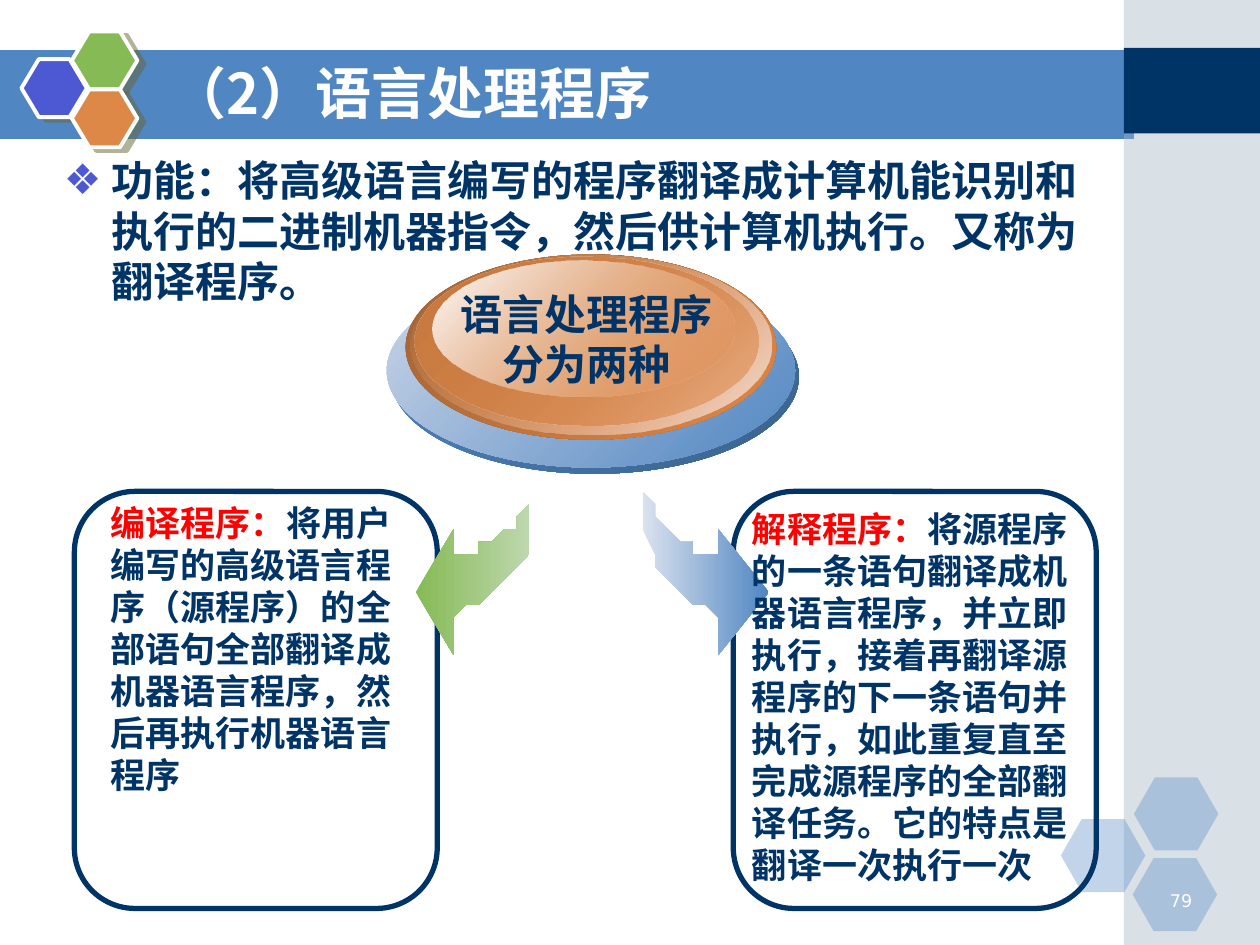
from dataclasses import dataclass
from typing import Optional

from lxml import etree
from pptx import Presentation
from pptx import util as u
from pptx.dml.color import RGBColor
from pptx.enum import shapes, text
from pptx.oxml.ns import qn

COLUMNS = 100
CELL = u.Inches(10) // COLUMNS  # the grid has 100 columns and 75 square rows
CJK, LATIN = "Noto Sans CJK SC", "DejaVu Sans"
NAVY, BLUE, GREEN, ORANGE, VIOLET = "003366", "5086C2", "85BA54", "DE8848", "4C59D2"
WHITE, RED = "FFFFFF", "FF0000"
KIND = shapes.MSO_SHAPE
ALIGN = text.PP_ALIGN


@dataclass(frozen=True)
class Area:
    """A rectangle in grid columns and rows."""
    left: float
    top: float
    width: float
    height: float

    def emu(self) -> list[int]:
        return [round(n * CELL) for n in (self.left, self.top, self.width, self.height)]


@dataclass(frozen=True)
class Tint:
    color: str
    opacity: int = 100


@dataclass(frozen=True)
class Figure:
    kind: int
    area: Area
    tints: tuple[Tint, ...] = ()
    angle: int = 45
    line: Optional[tuple[str, float]] = None
    adjust: Optional[float] = None
    shadow: bool = False


@dataclass(frozen=True)
class Words:
    text: str
    color: str = NAVY
    size: float = 20
    font: str = CJK
    bold: bool = True


def rgb(color: str) -> RGBColor:
    return RGBColor.from_string(color)


def paint(shape, tints: tuple[Tint, ...], angle: int = 45) -> None:
    """Fill with nothing, one colour, or a clockwise gradient of two."""
    fill = shape.fill
    if not tints:
        fill.background()
        return
    if len(tints) == 1:
        fill.solid()
        fill.fore_color.rgb = rgb(tints[0].color)
    else:
        fill.gradient()
        fill.gradient_angle = -angle % 360
        for stop, tint in zip(fill.gradient_stops, tints):
            stop.color.rgb = rgb(tint.color)
    for node, tint in zip(list(shape.element.spPr.iter(qn("a:srgbClr"))), tints):
        if tint.opacity < 100:
            etree.SubElement(node, qn("a:alpha"), val=str(tint.opacity * 1000))


def cast_shadow(shape) -> None:
    effects = shape.element.spPr.find(qn("a:effectLst"))
    outer = etree.SubElement(effects, qn("a:outerShdw"), dist=str(u.Pt(4.5)),
                             dir=str(27 * 60000), algn="ctr", rotWithShape="0")
    color = etree.SubElement(outer, qn("a:srgbClr"), val="666633")
    etree.SubElement(color, qn("a:alpha"), val="50000")


def draw(page, figure: Figure) -> None:
    shape = page.shapes.add_shape(figure.kind, *figure.area.emu())
    shape.shadow.inherit = False
    if figure.adjust is not None:
        shape.adjustments[0] = figure.adjust
    paint(shape, figure.tints, figure.angle)
    if figure.line:
        shape.line.color.rgb = rgb(figure.line[0])
        shape.line.width = u.Pt(figure.line[1])
    else:
        shape.line.fill.background()
    if figure.shadow:
        cast_shadow(shape)


def draw_outline(page, points: list[tuple[float, float]],
                 tints: tuple[Tint, ...], angle: int = 0) -> None:
    builder = page.shapes.build_freeform(*points[0], scale=CELL)
    builder.add_line_segments(points[1:], close=True)
    shape = builder.convert_to_shape()
    shape.shadow.inherit = False
    paint(shape, tints, angle)
    shape.line.fill.background()


def write(para, *pieces: Words) -> None:
    for piece in pieces:
        span = para.add_run()
        span.text = piece.text
        formats = {"size": u.Pt(piece.size), "bold": piece.bold, "name": piece.font}
        for name, value in formats.items():
            setattr(span.font, name, value)
        span.font.color.rgb = rgb(piece.color)
        etree.SubElement(span._r.get_or_add_rPr(), qn("a:ea"), typeface=piece.font)


def add_text(page, area: Area, *lines: tuple[Words, ...],
             align=ALIGN.LEFT, wrap: bool = True):
    box = page.shapes.add_textbox(*area.emu())
    frame = box.text_frame
    frame.word_wrap = wrap
    frame.margin_top = u.Inches(0.08)
    for index, pieces in enumerate(lines):
        para = frame.add_paragraph() if index else frame.paragraphs[0]
        para.alignment = align
        para.line_spacing = u.Pt(pieces[0].size * 1.2)
        write(para, *pieces)
    return box


def add_bullet(para, mark: str, color: str) -> None:
    indent = u.Inches(0.38)
    props = para._p.get_or_add_pPr()
    props.set("marL", str(indent))
    props.set("indent", str(-indent))
    tone = etree.SubElement(props, qn("a:buClr"))
    etree.SubElement(tone, qn("a:srgbClr"), val=color)
    etree.SubElement(props, qn("a:buFont"), typeface=LATIN)
    etree.SubElement(props, qn("a:buChar"), char=mark)


def draw_backdrop(page) -> None:
    draw_outline(page, [(-0.1, 3.8), (89.5, 3.8), (89.5, 10.6), (-0.1, 10.7)], (Tint(BLUE),))
    draw(page, Figure(KIND.RECTANGLE, Area(89.2, 0, 10.8, 75), (Tint("A0B5C4", 40),)))
    draw(page, Figure(KIND.RECTANGLE, Area(89.2, 3.8, 10.8, 6.8), (Tint(NAVY),)))
    for left, top in ((84.2, 65), (90, 61.7), (89.9, 68.1)):
        draw(page, Figure(KIND.HEXAGON, Area(left, top, 6.7, 5.8), (Tint(BLUE, 35),),
                          adjust=0.286))
    for left, top, color in ((1.7, 4.7, VIOLET), (5.7, 2.5, GREEN), (5.7, 7.1, ORANGE)):
        draw(page, Figure(KIND.HEXAGON, Area(left, top, 5.2, 4.6), (Tint(color),),
                          line=(WHITE, 2.25), adjust=0.3, shadow=True))


def draw_arrows(page) -> None:
    left_arrow = [
        (42.5, 38), (42.4, 39.5), (42.3, 40.9), (42, 42.2), (41.5, 43.5), (41, 44.6),
        (40.3, 45.6), (39.4, 46.6), (38.4, 47.5), (37.2, 48.3), (35.8, 49.1),
        (35.8, 51.5), (32.6, 46.7), (35.8, 41.9), (35.8, 44.3), (36.4, 44.2),
        (37.1, 44), (37.8, 43.7), (38.5, 43.2), (39.3, 42.7), (39.9, 42.1),
        (40.6, 41.5), (41.2, 40.8), (41.7, 40.1), (42.1, 39.3), (42.4, 38.6), (42.4, 38)]
    mirror_sum = 93.2
    right_arrow = [(mirror_sum - x, y) for x, y in left_arrow]
    draw_outline(page, left_arrow, (Tint(GREEN), Tint("BED7AE")))
    draw_outline(page, right_arrow, (Tint("DBE2EE"), Tint(BLUE)))


def draw_button(page) -> None:
    layers = (
        (Area(31, 22.2, 32.4, 15.4), Tint(BLUE), Tint("3A628E")),
        (Area(30.7, 21.7, 32.4, 15.4), Tint("CAD5E7"), Tint(BLUE)),
        (Area(32.2, 20.2, 29.4, 14.7), Tint("9F6134"), Tint(ORANGE)),
        (Area(32.6, 20.2, 28.6, 14.3), Tint(ORANGE, 0), Tint("F4DFD6")),
        (Area(32.9, 20.4, 27.3, 13.4), Tint("C97B41"), Tint(ORANGE, 48)),
        (Area(34.3, 20.7, 24, 10.8), Tint(WHITE), Tint(ORANGE, 38)))
    for area, *tints in layers:
        draw(page, Figure(KIND.OVAL, area, tuple(tints)))


def main() -> None:
    deck = Presentation()
    deck.slide_width, deck.slide_height = CELL * COLUMNS, CELL * 75
    page = deck.slides.add_slide(deck.slide_layouts[5])
    draw_backdrop(page)
    add_text(page, Area(90.6, 69.8, 5, 2.5), (Words("79", WHITE, 10, LATIN, False),),
             align=ALIGN.RIGHT)

    title = page.shapes.title
    title.left, title.top, title.width, title.height = Area(12.5, 4.2, 73.3, 6.2).emu()
    title.text_frame.vertical_anchor = text.MSO_ANCHOR.MIDDLE
    title.text_frame.paragraphs[0].alignment = ALIGN.LEFT
    write(title.text_frame.paragraphs[0], Words("（2）语言处理程序", WHITE, 32))
    title.element.getparent().append(title.element)  # in front of the band

    body = add_text(page, Area(4.1, 11.5, 85.3, 10.8), (Words(
        "功能：将高级语言编写的程序翻译成计算机能识别和执行的二进制机器指令，"
        "然后供计算机执行。又称为翻译程序。", size=24),))
    add_bullet(body.text_frame.paragraphs[0], "❖", VIOLET)

    for left in (5.9, 58.2):
        draw(page, Figure(KIND.ROUNDED_RECTANGLE, Area(left, 39, 28.8, 33.1),
                          line=(NAVY, 3), adjust=0.167))
    add_text(page, Area(7.8, 39, 26.5, 24.3), (Words("编译程序：", RED), Words(
        "将用户编写的高级语言程序（源程序）的全部语句全部翻译成机器语言程序，"
        "然后再执行机器语言程序")))
    draw_arrows(page)
    draw_button(page)
    add_text(page, Area(35.5, 22.1, 22.1, 9), (Words("语言处理程序", size=24),),
             (Words("分为两种", size=24),), align=ALIGN.CENTER, wrap=False)
    add_text(page, Area(58.7, 39.5, 28.4, 31), (Words("解释程序：", RED), Words(
        "将源程序的一条语句翻译成机器语言程序，并立即执行，接着再翻译源程序的下一条语句"
        "并执行，如此重复直至完成源程序的全部翻译任务。它的特点是翻译一次执行一次")))
    deck.save("out.pptx")


if __name__ == "__main__":
    main()
